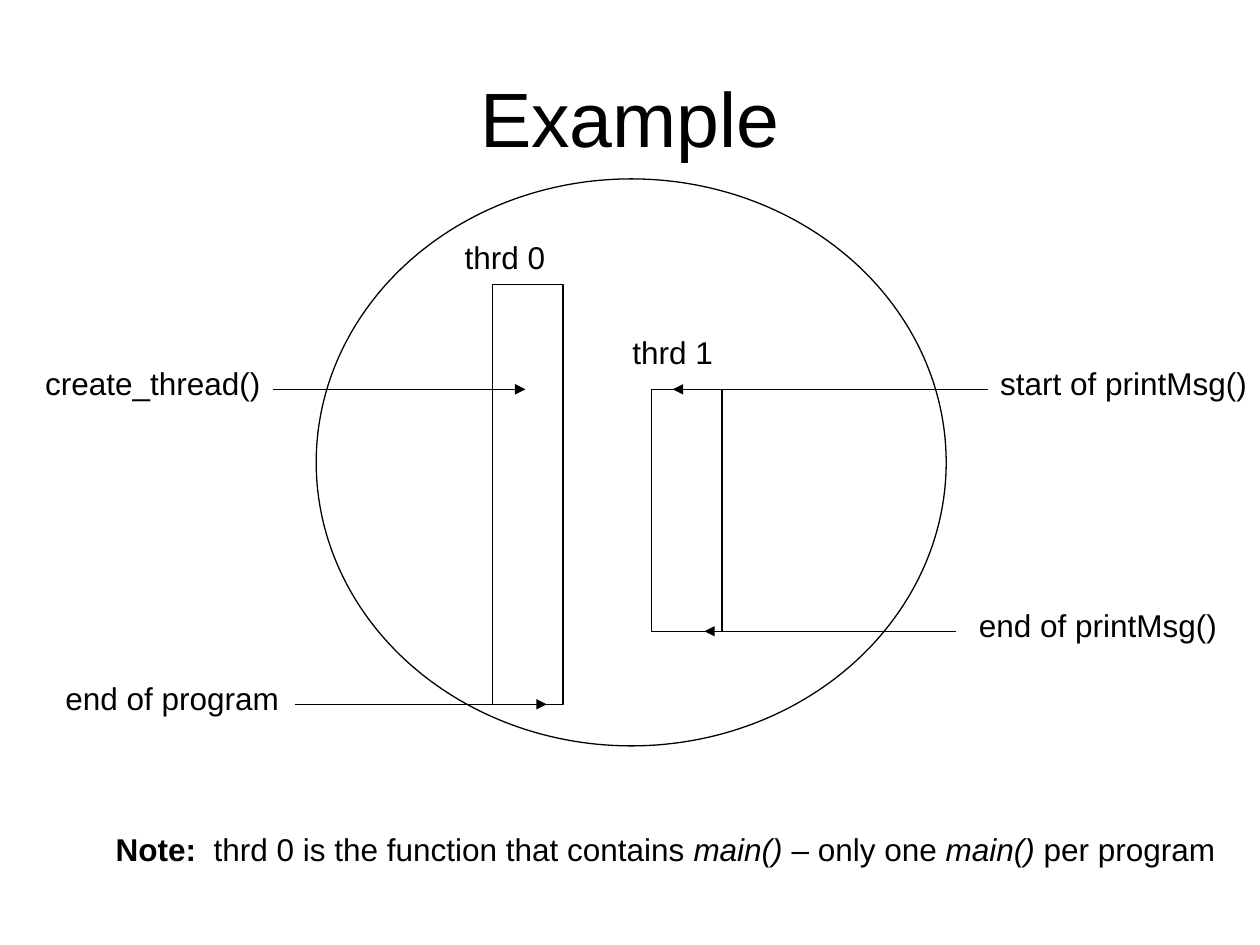
from dataclasses import dataclass

from lxml.etree import SubElement
from pptx import Presentation
from pptx.dml.color import RGBColor
from pptx.enum.shapes import MSO_CONNECTOR, MSO_SHAPE
from pptx.enum.text import MSO_ANCHOR, PP_ALIGN
from pptx.oxml.ns import qn
from pptx.slide import Slide
from pptx.text.text import TextFrame
from pptx.util import Inches, Pt

BLACK = RGBColor(0, 0, 0)
FONT = "Arial"
LINE_WIDTH = Pt(0.74)
TEXT_SIZE, TITLE_SIZE = 18, 44
LABEL_HEIGHT = 0.4
LABEL_RISE = 0.25  # from the top of an event label to its arrow
BAR_WIDTH = 0.56


@dataclass(frozen=True)
class Run:
    text: str
    bold: bool = False
    italic: bool = False


@dataclass(frozen=True)
class Thread:
    name: str
    label_left: float
    label_top: float
    left: float
    start: float
    end: float


@dataclass(frozen=True)
class Event:
    text: str
    label_left: float
    label_width: float
    time: float
    arrow_from: float
    arrow_to: float


# Vertical positions stand for moments in the program
THREAD_0 = Thread("thrd 0", 3.59, 1.84, 3.91, 2.26, 5.59)
THREAD_1 = Thread("thrd 1", 4.92, 2.59, 5.17, 3.09, 5.01)
THREADS = [THREAD_0, THREAD_1]
EVENTS = [
    Event("create_thread()", 0.26, 1.9, THREAD_1.start, 2.17, 4.17),
    Event("start of printMsg()", 7.84, 2.16, THREAD_1.start, 7.84, 5.34),
    Event("end of printMsg()", 7.67, 2.08, THREAD_1.end, 7.59, 5.59),
    Event("end of program", 0.42, 1.89, THREAD_0.end, 2.34, 4.34),
]
NOTE = [
    Run("Note:", bold=True),
    Run("  thrd 0 is the function that contains "),
    Run("main()", italic=True),
    Run(" – only one "),
    Run("main()", italic=True),
    Run(" per program"),
]


def add_text(slide: Slide, runs: list[Run], left: float, top: float, width: float,
             height: float = LABEL_HEIGHT, size: int = TEXT_SIZE) -> TextFrame:
    box = slide.shapes.add_textbox(*map(Inches, (left, top, width, height)))
    frame = box.text_frame
    frame.word_wrap = False
    for part in runs:
        run = frame.paragraphs[0].add_run()
        run.text = part.text
        run.font.name, run.font.size = FONT, Pt(size)
        run.font.bold, run.font.italic = part.bold, part.italic
        run.font.color.rgb = BLACK
    return frame


def add_label(slide: Slide, runs: list[Run], left: float, top: float,
              width: float) -> None:
    # No right margin, so that the text keeps to one line in its tight box
    add_text(slide, runs, left, top, width).margin_right = 0


def add_outline(slide: Slide, kind: MSO_SHAPE, left: float, top: float,
                width: float, height: float) -> None:
    shape = slide.shapes.add_shape(kind, *map(Inches, (left, top, width, height)))
    shape.shadow.inherit = False
    shape.fill.background()
    shape.line.color.rgb = BLACK
    shape.line.width = LINE_WIDTH


def add_arrow(slide: Slide, start: float, end: float, y: float) -> None:
    arrow = slide.shapes.add_connector(
        MSO_CONNECTOR.STRAIGHT, *map(Inches, (start, y, end, y)))
    arrow.line.color.rgb = BLACK
    arrow.line.width = LINE_WIDTH
    SubElement(arrow.line._get_or_add_ln(), qn("a:tailEnd"), type="triangle")
    SubElement(arrow._element.spPr, qn("a:effectLst"))


def add_thread(slide: Slide, thread: Thread) -> None:
    add_outline(slide, MSO_SHAPE.RECTANGLE, thread.left, thread.start,
                BAR_WIDTH, thread.end - thread.start)
    add_label(slide, [Run(thread.name)], thread.label_left, thread.label_top, 0.84)


def add_event(slide: Slide, event: Event) -> None:
    add_arrow(slide, event.arrow_from, event.arrow_to, event.time)
    add_label(slide, [Run(event.text)], event.label_left,
              event.time - LABEL_RISE, event.label_width)


presentation = Presentation()
presentation.slide_width, presentation.slide_height = Inches(10), Inches(7.5)
slide = presentation.slides.add_slide(presentation.slide_layouts[6])

# Title
title = add_text(slide, [Run("Example")], 0.5, 0.3, 9, 1.25, TITLE_SIZE)
title.word_wrap = True
title.vertical_anchor = MSO_ANCHOR.MIDDLE
title.paragraphs[0].alignment = PP_ALIGN.CENTER

# Process with its threads and events
add_outline(slide, MSO_SHAPE.OVAL, 2.51, 1.42, 5, 4.5)
for thread in THREADS:
    add_thread(slide, thread)
for event in EVENTS:
    add_event(slide, event)

# Note
add_label(slide, NOTE, 0.82, 6.54, 8.91)

presentation.save("out.pptx")
